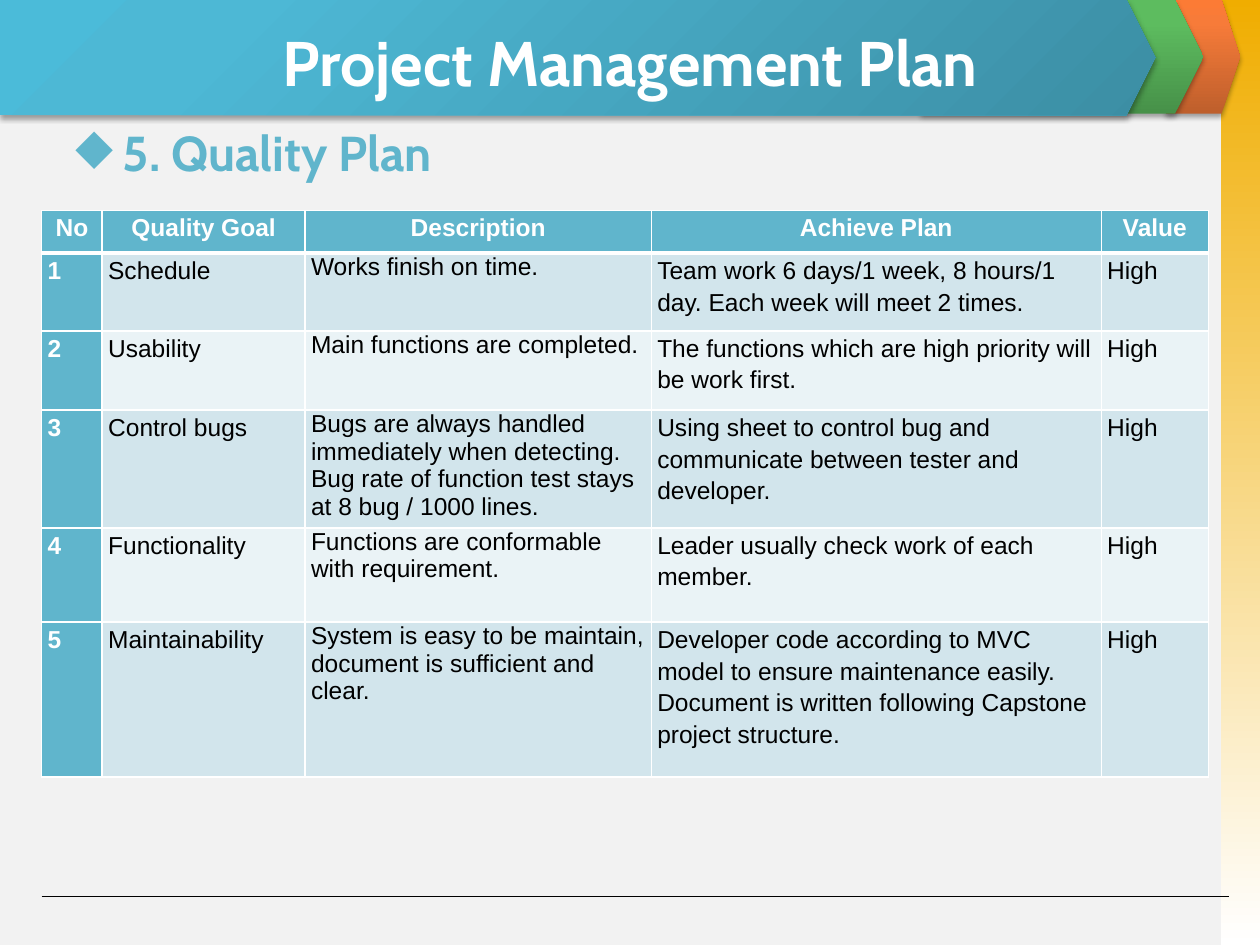
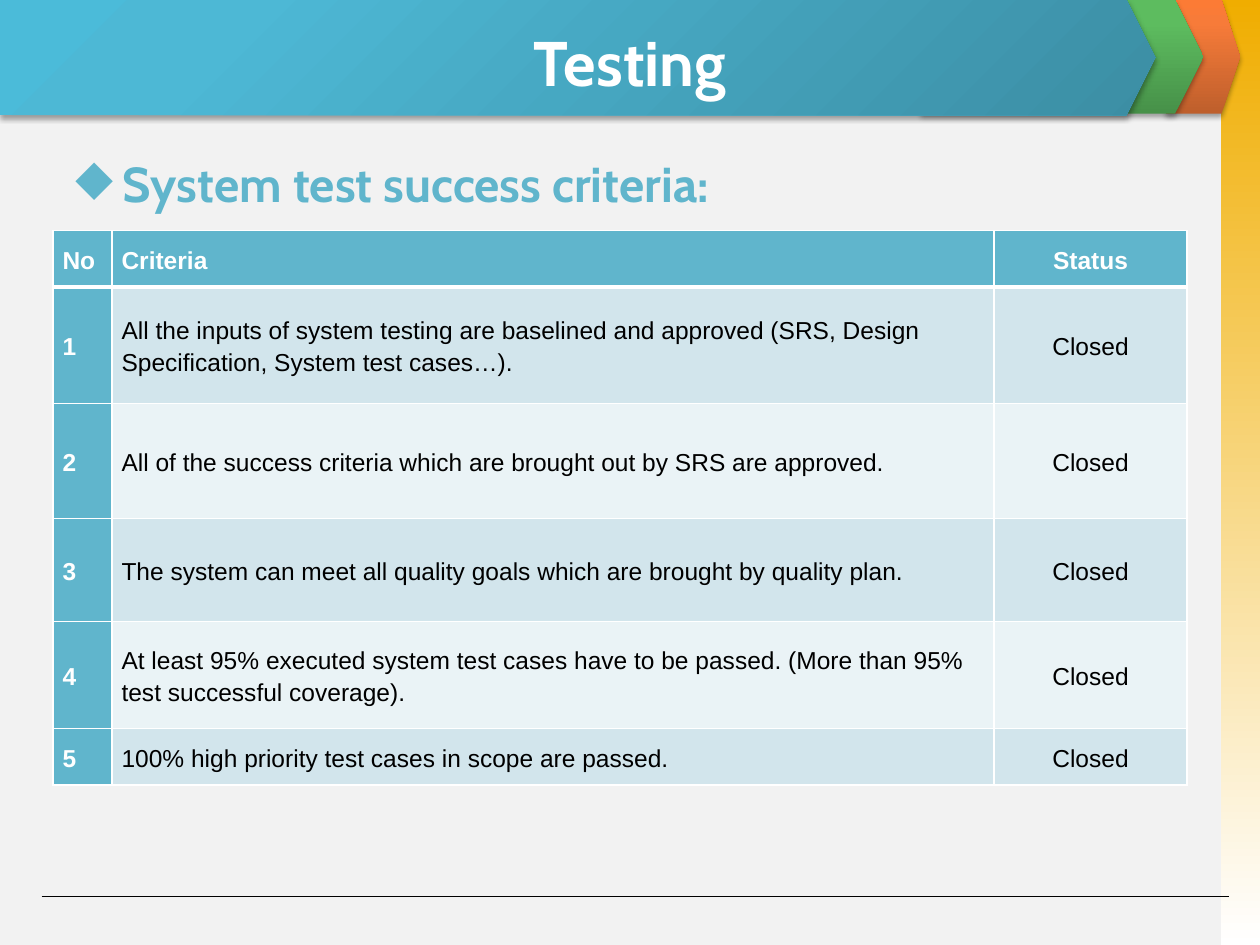
from lxml import etree
from pptx import Presentation as Deck
from pptx.dml.color import RGBColor as Rgb
from pptx.enum.shapes import MSO_CONNECTOR as Link, MSO_SHAPE as Form
from pptx.enum.text import MSO_ANCHOR as Anchor, PP_ALIGN as Align
from pptx.oxml import parse_xml
from pptx.oxml.ns import nsdecls, qn
from pptx.util import Cm, Pt

# Colours
WHITE = Rgb(0xFF, 0xFF, 0xFF)
BLACK = Rgb(0x00, 0x00, 0x00)
PAPER = Rgb(0xF2, 0xF2, 0xF2)
TEAL = Rgb(0x60, 0xB5, 0xCC)
TINTS = [Rgb(0xD2, 0xE5, 0xEC), Rgb(0xEA, 0xF3, 0xF6)]
GOLD = Rgb(0xF0, 0xAD, 0x00)
ORANGE = [Rgb(0xBE, 0x5F, 0x2C), Rgb(0xF7, 0x7B, 0x39), Rgb(0xFC, 0x7B, 0x35)]
GREEN = [Rgb(0x47, 0x91, 0x49), Rgb(0x5D, 0xBC, 0x5F), Rgb(0x5B, 0xBF, 0x5E)]
BLUE = [Rgb(0x3C, 0x8E, 0xA4), Rgb(0x4D, 0xB8, 0xD5), Rgb(0x4B, 0xBB, 0xD9)]

LEFT, MID, JUST = Align.LEFT, Align.CENTER, Align.JUSTIFY


def xml(tag, body, attrs=""):
    return parse_xml(f"<a:{tag} {nsdecls('a')} {attrs}>{body}</a:{tag}>")


def solid(color):
    return f'<a:solidFill><a:srgbClr val="{color}"/></a:solidFill>'


def write(frame, text, size=14, font="Arial", color=BLACK, bold=False,
          align=LEFT, space=None, bullet=None):
    """Put one formatted paragraph in a text frame."""
    frame.word_wrap = True
    para = frame.paragraphs[0]
    if bullet:
        props = para._p.get_or_add_pPr()
        props.set("marL", str(Cm(0.96)))
        props.set("indent", str(-Cm(0.96)))
        props.append(xml("buClr", f'<a:srgbClr val="{color}"/>'))
        props.append(xml("buChar", "", f'char="{bullet}"'))
    para.alignment = align
    if space:
        para.line_spacing = space
    run = para.add_run()
    run.text = text
    run.font.size, run.font.name, run.font.bold = Pt(size), font, bold
    run.font.color.rgb = color


class Page:
    """House style and the slide being built."""

    def __init__(self):
        self.deck = Deck()
        self.deck.slide_width, self.deck.slide_height = Cm(25.4), Cm(19.05)

    def start(self, title, topic, top):
        self.slide = self.deck.slides.add_slide(self.deck.slide_layouts[6])
        self.shapes = self.slide.shapes
        back = self.slide.background.fill
        back.solid()
        back.fore_color.rgb = PAPER
        # Side band, arrows and footer rule
        down = '<a:lin ang="5400000" scaled="0"/>'
        rise = '<a:lin ang="16200000" scaled="0"/>'
        ring = ('<a:path path="circle">'
                '<a:fillToRect l="100000" t="100000"/></a:path>')
        self.block(Form.RECTANGLE, (24.61, 0, 0.79, 19.05),
                   [(0, GOLD), (100, WHITE)], down)
        self.arrow((23.5, 0, 1.5, 2.29), ORANGE, rise)
        self.arrow((18.57, 0, 5.69, 2.29), GREEN, rise)
        self.rule(0.84, 24.77, 18.07)
        self.arrow((0, 0, 23.29, 2.32), BLUE, ring)
        # Headings
        self.label((1.27, 0.36, 22.86, 1.75), title, Anchor.MIDDLE,
                   size=36, color=WHITE, align=MID)
        self.label((1.27, top, 22.86, 1.7), topic, Anchor.TOP,
                   size=28, color=TEAL, bullet="◆")

    def block(self, form, box, stops, way):
        shape = self.shapes.add_shape(form, *map(Cm, box))
        shape.line.fill.background()
        shape.shadow.inherit = False
        shape.fill.gradient()
        grad = shape._element.spPr.find(qn("a:gradFill"))
        marks = "".join(f'<a:gs pos="{pos * 1000}"><a:srgbClr val="{color}"/></a:gs>'
                        for pos, color in stops)
        fresh = xml("gradFill", f"<a:gsLst>{marks}</a:gsLst>{way}",
                    'rotWithShape="1"')
        grad.getparent().replace(grad, fresh)
        return shape

    def arrow(self, box, colors, way):
        shape = self.block(Form.PENTAGON, box, zip((0, 80, 100), colors), way)
        shape.adjustments[0] = 0.25
        shade = xml("outerShdw",
                    '<a:srgbClr val="000000"><a:alpha val="35000"/></a:srgbClr>',
                    f'blurRad="{Pt(3.1)}" dist="{Pt(1.8)}" dir="5400000" '
                    'rotWithShape="0"')
        shape._element.spPr.find(qn("a:effectLst")).append(shade)

    def rule(self, left, right, top):
        line = self.shapes.add_connector(Link.STRAIGHT, Cm(left), Cm(top),
                                         Cm(right), Cm(top))
        line.line.color.rgb = BLACK
        line.line.width = Pt(0.75)
        etree.SubElement(line._element.spPr, qn("a:effectLst"))

    def label(self, box, text, anchor, **style):
        frame = self.shapes.add_textbox(*map(Cm, box)).text_frame
        frame.vertical_anchor = anchor
        write(frame, text, font="Cabin", bold=True, **style)

    def table(self, spot, cols, rows, data, heads, aligns, spaces, inset, anchor):
        grid = self.shapes.add_table(len(rows), len(cols), *map(Cm, spot),
                                     Cm(sum(cols)), Cm(sum(rows))).table
        for col, width in zip(grid.columns, cols):
            col.width = Cm(width)
        for row, height in zip(grid.rows, rows):
            row.height = Cm(height)
        for i, line in enumerate(data):
            for j, text in enumerate(line):
                cell = grid.cell(i, j)
                key = i == 0 or j == 0
                cell.margin_left = cell.margin_right = Cm(inset[0])
                cell.margin_top = cell.margin_bottom = Cm(inset[1])
                cell.vertical_anchor = anchor
                cell.fill.solid()
                cell.fill.fore_color.rgb = TEAL if key else TINTS[(i - 1) % 2]
                self.edge(cell, top=3 if i == 1 else 1, base=3 if i == 0 else 1)
                write(cell.text_frame, text, bold=key,
                      color=WHITE if key else BLACK,
                      align=aligns[j] if i else heads[j],
                      space=spaces[j] if i else 1.15)

    def edge(self, cell, top, base):
        props = cell._tc.get_or_add_tcPr()
        sides = {"lnL": 1, "lnR": 1, "lnT": top, "lnB": base}
        for spot, (side, width) in enumerate(sides.items()):
            props.insert(spot, xml(side, solid(WHITE), f'w="{Pt(width)}"'))


def main():
    page = Page()

    # Quality plan
    goals = [
        ("Schedule", "Works finish on time.",
         "Team work 6 days/1 week, 8 hours/1 day. Each week will meet 2 times."),
        ("Usability", "Main functions are completed.",
         "The functions which are high priority will be work first."),
        ("Control bugs",
         "Bugs are always handled immediately when detecting. "
         "Bug rate of function test stays at 8 bug / 1000 lines.",
         "Using sheet to control bug and communicate between tester and developer."),
        ("Functionality", "Functions are conformable with requirement.",
         "Leader usually check work of each member."),
        ("Maintainability",
         "System is easy to be maintain, document is sufficient and clear.",
         "Developer code according to MVC model to ensure maintenance easily. "
         "Document is written following Capstone project structure."),
    ]
    page.start("Project Management Plan", "5. Quality Plan", 2.34)
    page.table(
        (0.84, 4.24), [1.22, 4.09, 6.98, 9.07, 2.16],
        [0.86, 1.57, 1.6, 2.34, 1.9, 3.12],
        [("No", "Quality Goal", "Description", "Achieve Plan", "Value")]
        + [(str(n), *goal, "High") for n, goal in enumerate(goals, 1)],
        heads=[MID] * 5, aligns=[JUST] + [LEFT] * 4,
        spaces=[1.15, 1.15, None, 1.15, 1.15],
        inset=(0.12, 0), anchor=Anchor.TOP)

    # Test criteria
    tests = [
        "All the inputs of system testing are baselined and approved "
        "(SRS, Design Specification, System test cases…).",
        "All of the success criteria which are brought out by SRS are approved.",
        "The system can meet all quality goals which are brought by quality plan.",
        "At least 95% executed system test cases have to be passed. "
        "(More than 95% test successful coverage).",
        "100% high priority test cases in scope are passed.",
    ]
    sides = [LEFT, LEFT, MID]
    page.start("Testing", "System test success criteria:", 2.97)
    page.table(
        (1.07, 4.65), [1.19, 17.78, 3.89],
        [1.14, 2.34, 2.32, 2.08, 2.16, 1.14],
        [("No", "Criteria", "Status")]
        + [(str(n), test, "Closed") for n, test in enumerate(tests, 1)],
        heads=sides, aligns=sides, spaces=[1.15] * 3,
        inset=(0.19, 0.05), anchor=Anchor.MIDDLE)

    page.deck.save("out.pptx")


if __name__ == "__main__":
    main()
